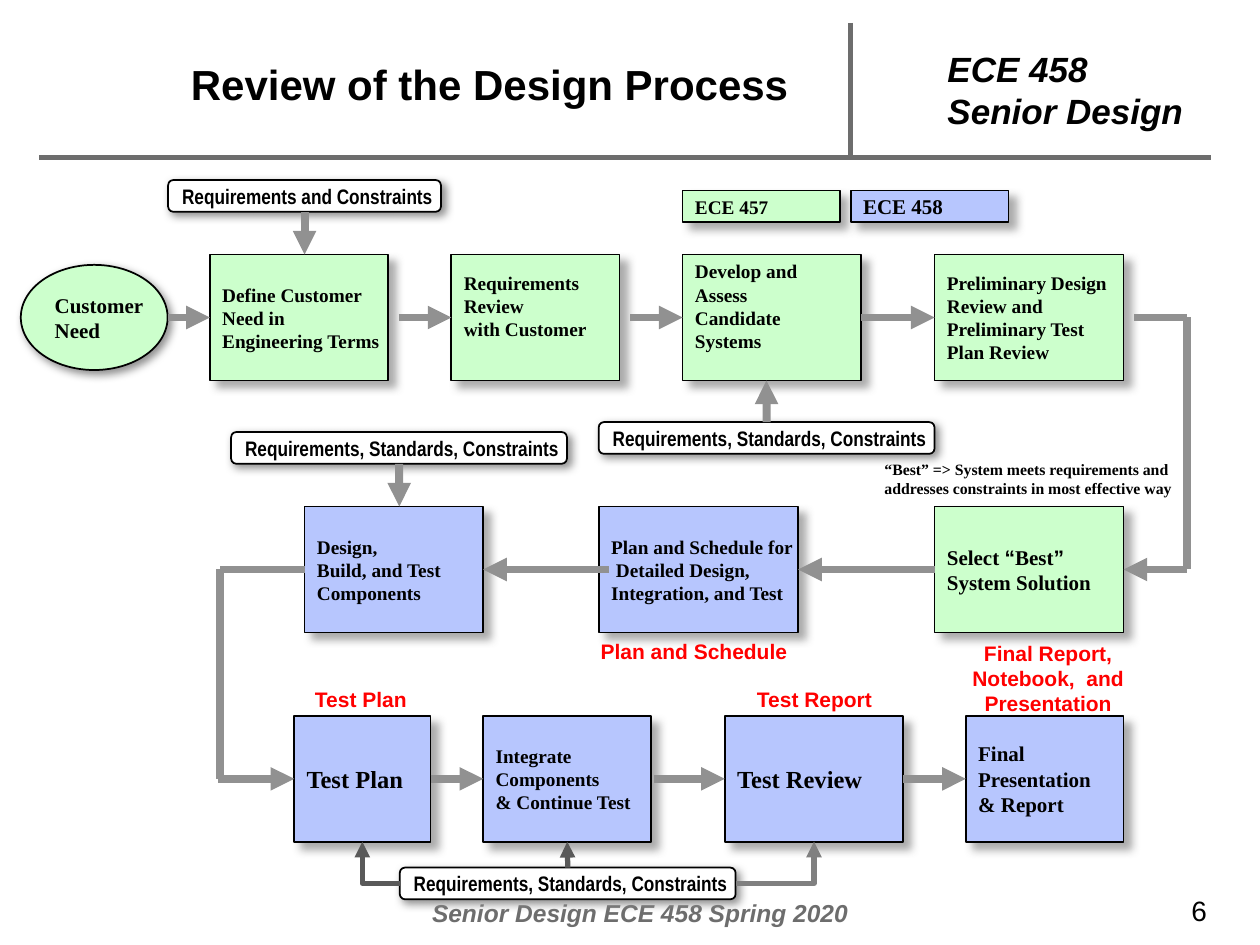
"""Build the design process review slide."""
import lxml.etree
import pptx
import pptx.dml.color
import pptx.enum.shapes
import pptx.enum.text
import pptx.oxml.ns
import pptx.util

Cm = pptx.util.Cm
Pt = pptx.util.Pt
qn = pptx.oxml.ns.qn
SHAPE = pptx.enum.shapes.MSO_SHAPE
CONNECTOR = pptx.enum.shapes.MSO_CONNECTOR
ANCHOR = pptx.enum.text.MSO_ANCHOR
ALIGN = pptx.enum.text.PP_ALIGN
COLORS = {
    "black": "000000", "white": "FFFFFF", "green": "CCFFCC", "blue": "B7C6FE",
    "red": "FF0000", "arrow": "919191", "frame": "6D6D6D",
    "elbow": "808080", "dark": "595959",
}
SERIF = "Times New Roman"
ROWS = (5.13, 10.21, 14.43)
MIDDLES = [y + 1.27 for y in ROWS]
STANDARDS = "Requirements, Standards, Constraints"
BOXES = {
    "define": (4.23, 0, 3.6, "green", 11, "Define Customer\nNeed in\nEngineering Terms"),
    "review": (9.1, 0, 3.39, "green", 11, "Requirements\nReview\nwith Customer"),
    "develop": (13.76, 0, 3.6, "green", 11, "Develop and\nAssess\nCandidate\nSystems"),
    "preliminary": (18.84, 0, 3.81, "green", 11,
                    "Preliminary Design\nReview and\nPreliminary Test\nPlan Review"),
    "design": (6.14, 1, 3.6, "blue", 11, "Design,\nBuild, and Test\nComponents"),
    "plan": (12.07, 1, 4.02, "blue", 11,
             "Plan and Schedule for\n Detailed Design,\nIntegration, and Test"),
    "select": (18.84, 1, 3.81, "green", 12, "Select “Best”\nSystem Solution"),
    "test plan": (5.93, 2, 2.75, "blue", 14, "Test Plan"),
    "integrate": (9.74, 2, 3.39, "blue", 11, "Integrate\nComponents\n& Continue Test"),
    "test review": (14.61, 2, 3.6, "blue", 14, "Test Review"),
    "final": (19.47, 2, 3.18, "blue", 12, "Final\nPresentation\n& Report"),
}
NOTES = {
    "constraints": (3.39, 3.63, 5.5, "Requirements and Constraints"),
    "build": (4.66, 8.71, 6.77, STANDARDS),
    "candidates": (12.07, 8.51, 6.77, STANDARDS),
    "tests": (8.06, 17.49, 6.77, STANDARDS),
}
DELIVERABLES = (
    (11.86, 12.75, 4.45, 0.76, "Plan and Schedule", ALIGN.LEFT),
    (6.1, 13.72, 2.97, 0.76, "Test Plan", ALIGN.LEFT),
    (15.01, 13.72, 3.02, 0.76, "Test Report", ALIGN.LEFT),
    (18.59, 12.78, 5.08, 1.8, "Final Report, Notebook,  and Presentation", ALIGN.CENTER),
)


def rgb(name):
    """Return the named colour."""
    return pptx.dml.color.RGBColor.from_string(COLORS[name])


def write(tf, text, font, size, color="black", italic=False, bold=True, align=ALIGN.LEFT):
    """Fill a text frame and format all its runs."""
    tf.text = text
    for p in tf.paragraphs:
        p.alignment = align
        for r in p.runs:
            r.font.name, r.font.size = font, Pt(size)
            r.font.bold, r.font.italic = bold, italic
            r.font.color.rgb = rgb(color)


def add_shadow(sp, alpha, distance):
    """Give a shape a soft shadow at 45 degrees."""
    sp.shadow.inherit = False
    effects = sp._element.spPr.find(qn("a:effectLst"))
    shadow = lxml.etree.SubElement(
        effects, qn("a:outerShdw"), blurRad=str(Pt(5)), dist=str(Pt(distance)),
        dir="2700000", algn="ctr", rotWithShape="0")
    clr = lxml.etree.SubElement(shadow, qn("a:srgbClr"), val=COLORS["arrow"])
    lxml.etree.SubElement(clr, qn("a:alpha"), val=str(alpha * 1000))


def add_box(s, kind, at, fill, text, size, font=SERIF):
    """Add an outlined shape with text; only rectangles get the deep shadow."""
    sp = s.shapes.add_shape(kind, *map(Cm, at))
    sp.fill.solid()
    sp.fill.fore_color.rgb = rgb(fill)
    sp.line.color.rgb = rgb("black")
    sp.line.width = Pt(1)
    add_shadow(sp, *((75, 5.7) if kind == SHAPE.RECTANGLE else (100, 2.8)))
    tf = sp.text_frame
    tf.word_wrap = False
    tf.vertical_anchor = ANCHOR.MIDDLE
    write(tf, text, font, size)
    return sp


def add_label(s, at, text, font, size, wrap=True, **style):
    """Add a plain text box."""
    tf = s.shapes.add_textbox(*map(Cm, at)).text_frame
    tf.word_wrap = wrap
    write(tf, text, font, size, **style)


def add_line(s, start, end, color="arrow", width=4.5, head=True, elbow=False):
    """Add a connector between points or (shape, side) pairs."""
    cxn = s.shapes.add_connector(CONNECTOR.ELBOW if elbow else CONNECTOR.STRAIGHT, 0, 0, 0, 0)
    if isinstance(start[0], (int, float)):
        cxn.begin_x, cxn.begin_y = map(Cm, start)
    else:
        cxn.begin_connect(*start)
    if isinstance(end[0], (int, float)):
        cxn.end_x, cxn.end_y = map(Cm, end)
    else:
        cxn.end_connect(*end)
    cxn.line.color.rgb = rgb(color)
    cxn.line.width = Pt(width)
    spPr = cxn._element.spPr
    if elbow:
        spPr.find(qn("a:prstGeom")).set("prst", "bentConnector2")
    if head:
        lxml.etree.SubElement(spPr.find(qn("a:ln")), qn("a:tailEnd"), type="triangle")
    lxml.etree.SubElement(spPr, qn("a:effectLst"))


def add_frame(s):
    """Add the title, course name, rules, footer and page number."""
    title = s.shapes.title
    title.left, title.top, title.width, title.height = map(Cm, (2.82, 0.84, 14.1, 1.7))
    tf = title.text_frame
    tf.auto_size = pptx.enum.text.MSO_AUTO_SIZE.NONE
    tf.vertical_anchor = ANCHOR.MIDDLE
    write(tf, "Review of the Design Process", "Arial", 24, align=ALIGN.CENTER)
    for start, end in (((0.79, 3.18), (24.41, 3.18)), ((17.15, 0.46), (17.15, 3.15))):
        add_line(s, start, end, "frame", 3, head=False)
    add_label(s, (18.85, 0.84, 7.19, 1.96), "ECE 458\nSenior Design", "Arial", 20, italic=True)
    add_label(s, (8.46, 17.98, 10.16, 0.84), "Senior Design ECE 458 Spring 2020",
              "Arial", 14, color="frame", italic=True)
    add_label(s, (23.77, 17.88, 1.22, 0.94), "6", "Arial", 16, wrap=False, bold=False)


def set_quote_font(p):
    """Split a paragraph at its quotation marks and set those in Arial."""
    before, word = p.text.rstrip("”").split("“")
    p.text = ""
    for text, font in ((before, SERIF), ("“", "Arial"), (word, SERIF), ("”", "Arial")):
        r = p.add_run()
        r.text = text
        r.font.name, r.font.size, r.font.bold = font, Pt(12), True
        r.font.color.rgb = rgb("black")


def add_flow(s, boxes, notes):
    """Join the steps and their inputs with arrows."""
    top, mid, low = MIDDLES
    left, right = 4.44, 23.92
    for start, end in (
        ((3.39, top), (boxes["define"], 1)),
        ((8.04, top), (boxes["review"], 1)),
        ((12.7, top), (boxes["develop"], 1)),
        ((boxes["develop"], 3), (boxes["preliminary"], 1)),
        ((right, mid), (boxes["select"], 3)),
        ((boxes["select"], 1), (boxes["plan"], 3)),
        ((12.28, mid), (boxes["design"], 3)),
        ((4.39, low), (boxes["test plan"], 1)),
        ((boxes["test plan"], 3), (boxes["integrate"], 1)),
        ((13.18, low), (boxes["test review"], 1)),
        ((boxes["test review"], 3), (boxes["final"], 1)),
        ((notes["constraints"], 2), (6.14, ROWS[0])),
        ((notes["build"], 2), (8.05, ROWS[1])),
        ((notes["candidates"], 0), (15.45, ROWS[0] + 2.54)),
    ):
        add_line(s, start, end)
    for start, end in (
        ((right, top), (22.86, top)),
        ((right, top), (right, mid)),
        ((boxes["design"], 1), (left, mid)),
        ((left, mid), (left, low)),
    ):
        add_line(s, start, end, head=False)
    for side, step, color in ((3, "test review", "elbow"), (1, "test plan", "dark"),
                              (0, "integrate", "dark")):
        add_line(s, (notes["tests"], side), (boxes[step], 2), color, 3, elbow=side != 0)


def main():
    """Build and save the slide."""
    prs = pptx.Presentation()
    prs.slide_width, prs.slide_height = Cm(25.4), Cm(19.05)
    s = prs.slides.add_slide(prs.slide_layouts[5])
    add_frame(s)
    boxes = {
        name: add_box(s, SHAPE.RECTANGLE, (x, ROWS[row], w, 2.54), fill, text, size)
        for name, (x, row, w, fill, size, text) in BOXES.items()
    }
    for name in ("review", "develop"):
        boxes[name].text_frame.margin_bottom = Cm(0.59)
    set_quote_font(boxes["select"].text_frame.paragraphs[0])
    add_box(s, SHAPE.OVAL, (0.42, 5.34, 2.96, 2.12), "green", "Customer\nNeed", 12)
    for x, fill, text, size in ((13.76, "green", "ECE 457", 11), (17.15, "blue", "ECE 458", 12)):
        add_box(s, SHAPE.RECTANGLE, (x, 3.84, 3.18, 0.64), fill, text, size)
    notes = {
        name: add_box(s, SHAPE.ROUNDED_RECTANGLE, (x, y, w, 0.64), "white", text, 12, "Arial Narrow")
        for name, (x, y, w, text) in NOTES.items()
    }
    add_flow(s, boxes, notes)
    add_label(s, (17.58, 9.14, 6.77, 1.07),
              "“Best” => System meets requirements and addresses constraints in most effective way",
              SERIF, 9)
    for *at, text, align in DELIVERABLES:
        add_label(s, at, text, "Arial", 12, color="red", align=align)
    prs.save("out.pptx")


if __name__ == "__main__":
    main()
